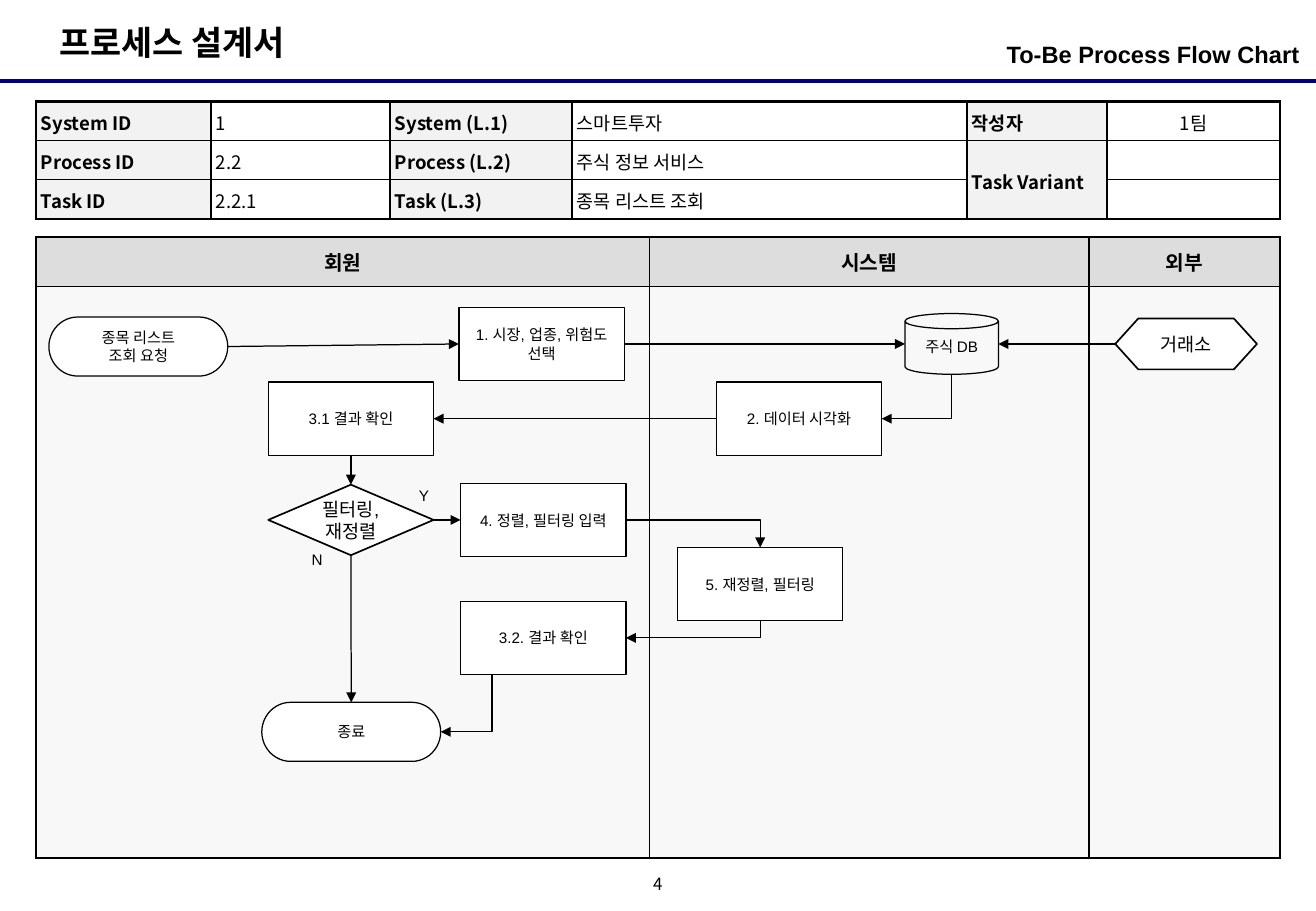
import lxml.etree
import pptx
import pptx.dml.color
import pptx.enum.shapes
import pptx.enum.text
import pptx.oxml.ns
import pptx.util

Pt = pptx.util.Pt
SHAPE = pptx.enum.shapes.MSO_SHAPE
CONNECTOR = pptx.enum.shapes.MSO_CONNECTOR
ALIGN = pptx.enum.text.PP_ALIGN
ANCHOR = pptx.enum.text.MSO_ANCHOR
BLACK, WHITE = "000000", "FFFFFF"
ARIAL, NOTO = "Arial", "Noto Sans CJK KR"


def color(value):
    return pptx.dml.color.RGBColor.from_string(value)


def add_child(parent, tag, **attributes):
    return lxml.etree.SubElement(parent, pptx.oxml.ns.qn(tag), **attributes)


def side_point(shape, side):
    """Return the middle of one side of a shape."""
    across, down = {"left": (0, 0.5), "right": (1, 0.5),
                    "top": (0.5, 0), "bottom": (0.5, 1)}[side]
    return (int(shape.left + shape.width * across),
            int(shape.top + shape.height * down))


class FlowPage:
    """Holds the text style and the slide being drawn."""

    def __init__(self, page):
        self.page = page

    def set_text(self, frame, text, size, bold=False, align=ALIGN.CENTER,
                 font=ARIAL, spacing=None):
        frame.text = text
        for para in frame.paragraphs:
            para.alignment = align
            if spacing:
                para.line_spacing = spacing
            para.font.size = Pt(size)
            para.font.bold = bold
            para.font.name = font
            para.font.color.rgb = color(BLACK)
            add_child(para._p.pPr.defRPr, "a:ea", typeface=NOTO)
            if not text:
                add_child(para._p, "a:endParaRPr", sz=str(size * 100))

    def set_frame(self, frame, inset, anchor):
        """Set insets as (sides, top and bottom)."""
        frame.word_wrap = True
        frame.auto_size = pptx.enum.text.MSO_AUTO_SIZE.NONE
        frame.vertical_anchor = anchor
        frame.margin_left = frame.margin_right = Pt(inset[0])
        frame.margin_top = frame.margin_bottom = Pt(inset[1])

    def title(self, text, left, top, width, height):
        box = self.page.shapes.title
        box.left, box.top, box.width, box.height = map(Pt, (left, top, width, height))
        self.set_frame(box.text_frame, (7.2, 3.6), ANCHOR.TOP)
        self.set_text(box.text_frame, text, 20, True, ALIGN.LEFT)

    def label(self, text, left, top, width, height, size,
              inset=(0, 0), anchor=ANCHOR.MIDDLE, **style):
        box = self.page.shapes.add_textbox(*map(Pt, (left, top, width, height)))
        self.set_frame(box.text_frame, inset, anchor)
        self.set_text(box.text_frame, text, size, **style)

    def node(self, kind, text, left, top, width=98, height=43.4, size=9,
             fill=WHITE, line=0.75, inset=(7.2, 7.2), adjust=None, spacing=None):
        shape = self.page.shapes.add_shape(kind, *map(Pt, (left, top, width, height)))
        shape.shadow.inherit = False
        if fill:
            shape.fill.solid()
            shape.fill.fore_color.rgb = color(fill)
        else:
            shape.fill.background()
        shape.line.color.rgb = color(BLACK)
        shape.line.width = Pt(line)
        if adjust:
            shape.adjustments[0] = adjust
        self.set_frame(shape.text_frame, inset, ANCHOR.MIDDLE)
        self.set_text(shape.text_frame, text, size, spacing=spacing)
        return shape

    def line(self, begin, end, width=0.75, line_color=BLACK, kind=CONNECTOR.STRAIGHT):
        connector = self.page.shapes.add_connector(kind, *begin, *end)
        connector.line.color.rgb = color(line_color)
        connector.line.width = Pt(width)
        add_child(connector._element.spPr, "a:effectLst")
        return connector

    def arrow(self, source, source_side, target, target_side, bend=None):
        """Join two shapes; bend names a preset elbow, or None for a straight line."""
        begin, end = side_point(source, source_side), side_point(target, target_side)
        turned = bend == "bentConnector2" and source_side == "bottom"
        if turned:
            # A quarter turn about the centre makes the elbow leave downwards.
            center_x, center_y = (begin[0] + end[0]) // 2, (begin[1] + end[1]) // 2
            half_x, half_y = (end[1] - begin[1]) // 2, (begin[0] - end[0]) // 2
            begin = center_x - half_x, center_y - half_y
            end = center_x + half_x, center_y + half_y
        kind = CONNECTOR.ELBOW if bend else CONNECTOR.STRAIGHT
        connector = self.line(begin, end, kind=kind)
        properties = connector._element.spPr
        if bend:
            properties.find(pptx.oxml.ns.qn("a:prstGeom")).set("prst", bend)
        if turned:
            properties.find(pptx.oxml.ns.qn("a:xfrm")).set("rot", "5400000")
        add_child(connector.line._get_or_add_ln(), "a:tailEnd", type="triangle")

    def table(self, left, top, widths, heights):
        table = self.page.shapes.add_table(
            len(heights), len(widths),
            *map(Pt, (left, top, sum(widths), sum(heights)))).table
        table.first_row = table.horz_banding = False
        for column, width in zip(table.columns, widths):
            column.width = Pt(width)
        for row, height in zip(table.rows, heights):
            row.height = Pt(height)
        return table

    def cell(self, table, row, column, text, fill, inner, inset, size, **style):
        """Fill a cell; its outer edges are heavier than its inner ones."""
        cell = table.cell(row, column)
        cell.margin_left = cell.margin_right = Pt(inset[0])
        cell.margin_top = cell.margin_bottom = Pt(inset[1])
        cell.vertical_anchor = ANCHOR.MIDDLE
        outer_edges = {
            "a:lnL": column == 0,
            "a:lnR": column + 1 == len(table.columns),
            "a:lnT": row == 0,
            "a:lnB": row + cell.span_height == len(table.rows),
        }
        for tag, is_outer in outer_edges.items():
            edge = add_child(cell._tc.get_or_add_tcPr(), tag,
                             w=str(int(Pt(1.5 if is_outer else inner))))
            add_child(add_child(edge, "a:solidFill"), "a:srgbClr", val=BLACK)
        cell.fill.solid()
        cell.fill.fore_color.rgb = color(fill)
        self.set_text(cell.text_frame, text, size, **style)


def main():
    deck = pptx.Presentation()
    deck.slide_width, deck.slide_height = Pt(780), Pt(540)
    flow = FlowPage(deck.slides.add_slide(deck.slide_layouts[5]))

    flow.title("프로세스 설계서", 28.1, 9.4, 162.7, 31.7)
    flow.label("To-Be Process Flow Chart", 532, 20.2, 238.3, 28, 14, inset=(0, 3.6),
               anchor=ANCHOR.TOP, bold=True, align=ALIGN.RIGHT)
    flow.line((0, Pt(48.2)), (Pt(780), Pt(48.2)), 2.25, "000080")
    flow.label("4", 378, 516.2, 23.8, 18, 10, font=NOTO, spacing=0.8)

    lanes = flow.table(21.5, 140.6, (363.3, 260.7, 113.2), (29.5, 338.5))
    for column, name in enumerate(("회원", "시스템", "외부")):
        flow.cell(lanes, 0, column, name, "DDDDDD", 0.75, (7.2, 3.6), 12, bold=True)
        flow.cell(lanes, 1, column, "", "F8F8F8", 0.75, (7.2, 3.6), 12)

    details = flow.table(21.5, 60.2, (103.7, 106.1, 107.9, 234.1, 83, 102.5), (22.5,) * 3)
    details.cell(1, 4).merge(details.cell(2, 4))
    rows = (
        ("System ID", "1", "System (L.1)", "스마트투자", "작성자", "1팀"),
        ("Process ID", "2.2", "Process (L.2)", "주식 정보 서비스", "Task Variant", ""),
        ("Task ID", "2.2.1", "Task (L.3)", "종목 리스트 조회", "", ""),
    )
    for row, texts in enumerate(rows):
        for column, text in enumerate(texts):
            heading = column % 2 == 0
            flow.cell(details, row, column, text, "F2F2F2" if heading else WHITE, 1,
                      (2.8, 2.8), 11, bold=heading, font=NOTO, spacing=1.1,
                      align=ALIGN.CENTER if column == 5 else ALIGN.LEFT)

    request = flow.node(SHAPE.FLOWCHART_TERMINATOR, "종목 리스트\n조회 요청", 29, 187.9, 106, 35)
    choose = flow.node(SHAPE.RECTANGLE, "1. 시장, 업종, 위험도 선택", 272, 182.2)
    stocks = flow.node(SHAPE.CAN, "주식 DB", 536.4, 185.9, 55.4, 36, fill=None,
                       inset=(7.2, 3.6), adjust=0.25, spacing=0.9)
    exchange = flow.node(SHAPE.HEXAGON, "거래소", 661, 188.8, 84, 30.2, 11, line=1,
                         inset=(2.8, 2.8), adjust=0.453)
    visualize = flow.node(SHAPE.RECTANGLE, "2. 데이터 시각화", 424.6, 226.5)
    check = flow.node(SHAPE.RECTANGLE, "3.1 결과 확인", 159, 226.5)
    decision = flow.node(SHAPE.FLOWCHART_DECISION, "필터링,재정렬", 159, 287.3, 98, 41.8,
                         11, line=1, inset=(1.4, 0))
    enter = flow.node(SHAPE.RECTANGLE, "4. 정렬, 필터링 입력", 273, 286.5)
    reorder = flow.node(SHAPE.RECTANGLE, "5. 재정렬, 필터링", 401.6, 324.5)
    recheck = flow.node(SHAPE.RECTANGLE, "3.2. 결과 확인", 273, 356.4)
    finish = flow.node(SHAPE.FLOWCHART_TERMINATOR, "종료", 155.2, 416.3, 106, 35)

    flow.label("Y", 241.2, 284.6, 20.2, 18, 9)
    flow.label("N", 177.8, 322.6, 20.2, 18, 9)

    flow.arrow(request, "right", choose, "left")
    flow.arrow(choose, "right", stocks, "left")
    flow.arrow(exchange, "left", stocks, "right")
    flow.arrow(stocks, "bottom", visualize, "right", "bentConnector2")
    flow.arrow(visualize, "left", check, "right")
    flow.arrow(check, "bottom", decision, "top")
    flow.arrow(decision, "right", enter, "left")
    flow.arrow(decision, "bottom", finish, "top")
    flow.arrow(enter, "right", reorder, "top", "bentConnector2")
    flow.arrow(reorder, "bottom", recheck, "right", "bentConnector2")
    flow.arrow(recheck, "bottom", finish, "right", "bentConnector3")

    deck.save("out.pptx")


if __name__ == "__main__":
    main()
